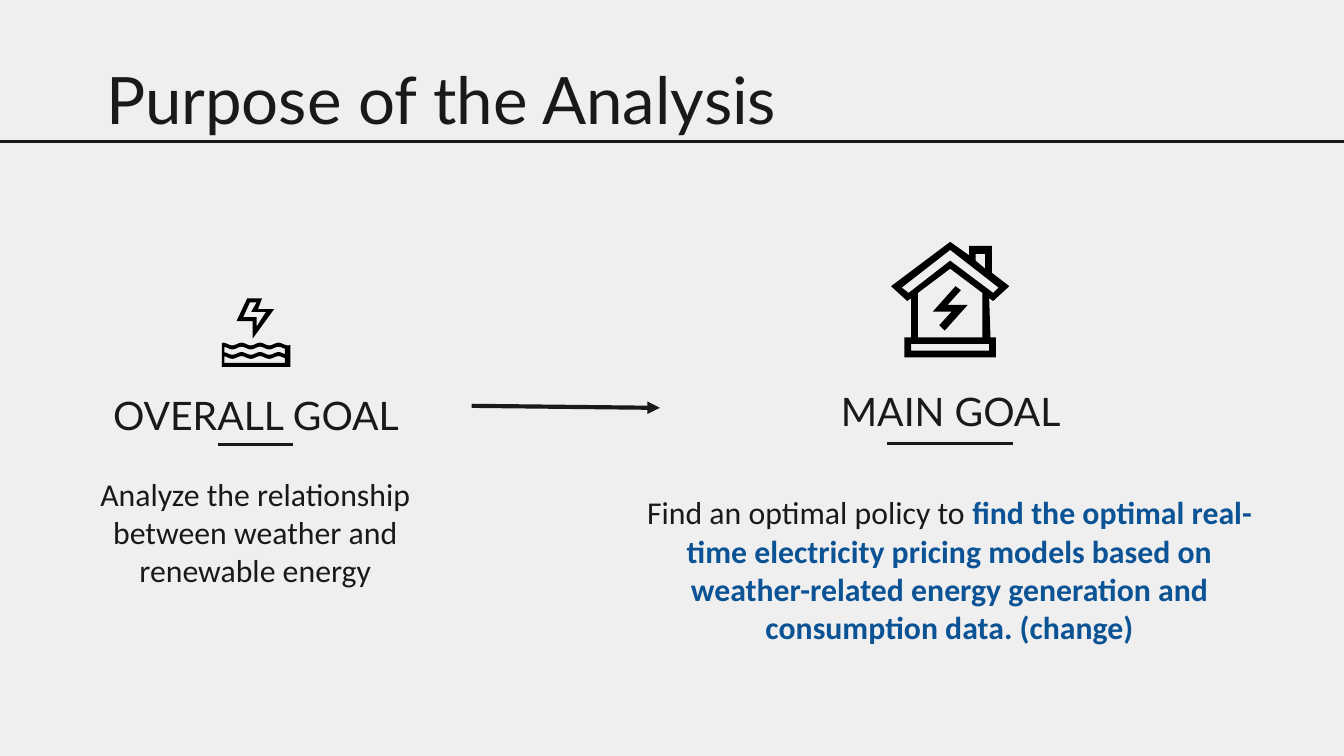
from math import cos, pi

from lxml.etree import SubElement
from pptx import Presentation
from pptx.dml.color import RGBColor
from pptx.enum.shapes import MSO_CONNECTOR
from pptx.enum.text import MSO_ANCHOR, MSO_AUTO_SIZE, PP_ALIGN
from pptx.oxml.ns import qn
from pptx.util import Pt

PX = 9144  # 100 px to the inch
BACKGROUND = RGBColor(0xEF, 0xEF, 0xEF)
INK = RGBColor(0x19, 0x19, 0x19)
BLUE = RGBColor(0x0B, 0x53, 0x94)
BLACK = RGBColor(0, 0, 0)

# Widescreen slide, 16:9
presentation = Presentation()
presentation.slide_width = 1000 * PX
presentation.slide_height = 1000 * PX * 9 // 16
slide = presentation.slides.add_slide(presentation.slide_layouts[5])
slide.background.fill.solid()
slide.background.fill.fore_color.rgb = BACKGROUND


def write(holder, box, margins, align, size, font, runs):
    """Place a text holder and fill its one paragraph."""
    for side, length in zip(("left", "top", "width", "height"), box):
        setattr(holder, side, length * PX)
    left, top, right, bottom = (m * PX for m in margins)
    frame = holder.text_frame
    frame_format = {
        "word_wrap": True, "auto_size": MSO_AUTO_SIZE.NONE,
        "vertical_anchor": MSO_ANCHOR.TOP,
        "margin_left": left, "margin_top": top,
        "margin_right": right, "margin_bottom": bottom,
    }
    for key, value in frame_format.items():
        setattr(frame, key, value)
    paragraph = frame.paragraphs[0]
    paragraph.alignment = align
    for text, color, bold in runs:
        run = paragraph.add_run()
        run.text = text
        for key, value in {"size": Pt(size), "name": font, "bold": bold}.items():
            setattr(run.font, key, value)
        run.font.color.rgb = color


def draw_outline(contours):
    """Draw closed contours as one black shape; inner contours are holes."""
    builder = None
    for contour in contours:
        points = [(round(x * PX), round(y * PX)) for x, y in contour]
        if builder is None:
            builder = slide.shapes.build_freeform(*points[0], scale=1.0)
        else:
            builder.move_to(*points[0])
        builder.add_line_segments(points[1:], close=True)
    outline = builder.convert_to_shape()
    outline.shadow.inherit = False
    outline.fill.solid()
    outline.fill.fore_color.rgb = BLACK
    outline.line.fill.background()


# Title
write(slide.shapes.title, (79, 44, 843, 50), (0, 0, 0, 0), PP_ALIGN.LEFT,
      35, "Lato", [("Purpose of the Analysis", INK, False)])

# Goal headings and descriptions
goals = [
    ((62, 281, 257, 43), (10, 10, 10, 10), 21, "Lato",
     [("OVERALL GOAL", INK, False)]),
    ((40, 353, 300, 85), (10, 0, 10, 10), 17, "Calibri",
     [("Analyze the relationship between weather and renewable energy",
       INK, False)]),
    ((454, 367, 505, 144), (20, 0, 20, 10), 17, "Calibri",
     [("Find an optimal policy to ", INK, False),
      ("find the optimal real-time electricity pricing models based on "
       "weather-related energy generation and consumption data. (change)",
       BLUE, True)]),
    ((491, 278, 433, 51), (10, 10, 10, 10), 21, "Lato",
     [("MAIN GOAL", INK, False)]),
]
for box, margins, size, font, runs in goals:
    goal = slide.shapes.add_textbox(0, 0, PX, PX)
    write(goal, box, margins, PP_ALIGN.CENTER, size, font, runs)
    goal.text_frame.paragraphs[0].space_after = Pt(16)
main_heading = goal

# Title rule, heading underlines, and the arrow between the goals
for x1, y1, x2, y2, weight in [
    (-3, 105, 1004, 105, 1.5),
    (162, 331, 218, 331, 1.5),
    (660, 330, 754, 330, 1.5),
    (351, 302, 491, 303, 2.25),
]:
    rule = slide.shapes.add_connector(
        MSO_CONNECTOR.STRAIGHT, x1 * PX, y1 * PX, x2 * PX, y2 * PX)
    rule.line.color.rgb = INK
    rule.line.width = Pt(weight)
    SubElement(rule._element.spPr, qn("a:effectLst"))
goal_arrow = rule
goal_arrow.end_connect(main_heading, 1)
SubElement(goal_arrow.line._get_or_add_ln(), qn("a:tailEnd"), type="triangle")

# House icon: chimney, roof, walls and base are holes in the silhouette
draw_outline([
    [(707, 180), (663, 213), (675, 224), (678, 222), (678, 251), (673, 251),
     (673, 266), (741, 266), (741, 251), (737, 251), (736, 222), (739, 224),
     (751, 213), (738, 203), (738, 183), (721, 183), (721, 190)],
    [(733, 189), (733, 200), (726, 194), (726, 189)],
    [(707, 186), (743, 214), (739, 218), (707, 194), (676, 218), (671, 214)],
    [(707, 200), (731, 218), (731, 251), (683, 251), (683, 218)],
    [(736, 256), (736, 261), (678, 261), (678, 256)],
])
draw_outline([[(711, 213), (694, 232), (708, 232), (699, 242), (703, 246),
               (720, 227), (705, 227), (715, 216)]])

# Hydropower icon: lightning bolt above water
draw_outline([
    [(184, 222), (176, 239), (188, 239), (188, 252), (204, 230), (192, 230),
     (195, 222)],
    [(191, 225), (187, 232), (198, 232), (191, 243), (191, 236), (181, 236),
     (186, 225)],
])
surface, upper_top, upper_bottom, lower_top = [
    [(x, y - cos(2 * pi * (x - 166) / 13.75)) for x in range(left, right + 1)]
    for left, right, y in [(165, 216, 256), (167, 212, 259),
                           (167, 212, 263), (167, 212, 266)]
]
draw_outline([
    surface + [(216, 273), (165, 273)],
    upper_top + upper_bottom[::-1],
    lower_top + [(212, 270), (167, 270)],
])

presentation.save("out.pptx")
